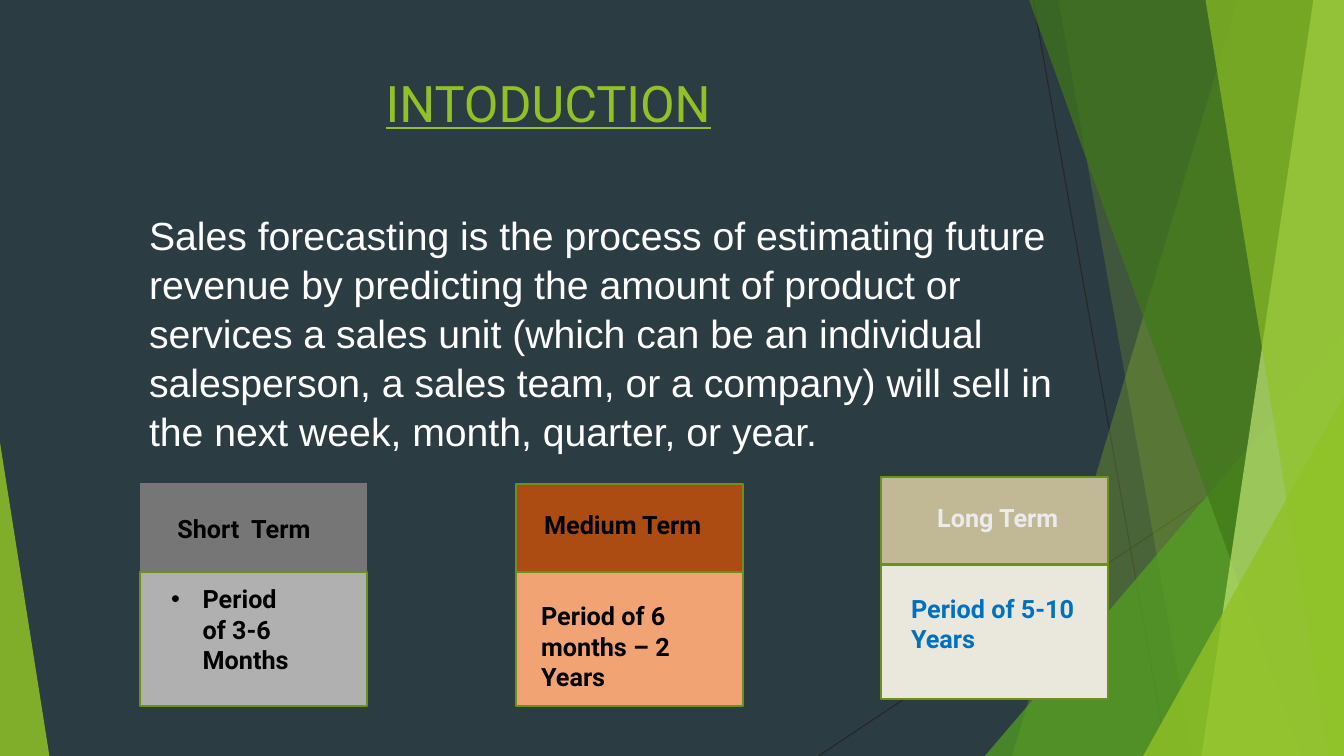
from pptx import Presentation
from pptx.dml.color import RGBColor
from pptx.enum.shapes import MSO_CONNECTOR, MSO_SHAPE
from pptx.enum.text import MSO_ANCHOR, PP_ALIGN
from pptx.oxml.ns import qn
from pptx.util import Pt
from lxml.etree import SubElement

PAGE_WIDTH, PAGE_HEIGHT = 960, 540

SLATE = RGBColor(0x2C, 0x3C, 0x43)
INK = RGBColor(0x26, 0x26, 0x26)
LIME = RGBColor(0x90, 0xC2, 0x26)
GREEN = RGBColor(0x54, 0xA0, 0x21)
FOREST = RGBColor(0x3F, 0x78, 0x19)
PALE_LIME = RGBColor(0xC0, 0xE4, 0x74)
OLIVE = RGBColor(0x6B, 0x90, 0x1C)
WHITE = RGBColor(0xFF, 0xFF, 0xFF)
BLACK = RGBColor(0, 0, 0)
BLUE = RGBColor(0x00, 0x70, 0xC0)
MIST = RGBColor(0xEB, 0xEB, 0xEB)
DARK_GREY = RGBColor(0x76, 0x76, 0x76)
LIGHT_GREY = RGBColor(0xB0, 0xB0, 0xB0)
RUST = RGBColor(0xAD, 0x4C, 0x12)
PEACH = RGBColor(0xF1, 0xA3, 0x74)
SAND = RGBColor(0xC1, 0xB9, 0x95)
CREAM = RGBColor(0xEA, 0xE8, 0xDC)


def paint(shape, color, opacity=100, outline=None):
    shape.shadow.inherit = False
    shape.fill.solid()
    shape.fill.fore_color.rgb = color
    if opacity < 100:
        tint = shape.fill._xPr.find(qn("a:solidFill"))[0]
        SubElement(tint, qn("a:alpha")).set("val", str(opacity * 1000))
    if outline is None:
        shape.line.fill.background()
    else:
        shape.line.color.rgb = outline
        shape.line.width = Pt(1.5)


def add_line(page, start, end):
    line = page.shapes.add_connector(
        MSO_CONNECTOR.STRAIGHT, *(Pt(value) for value in start + end))
    line.line.color.rgb = INK
    line.line.width = Pt(0.75)
    SubElement(line._element.spPr, qn("a:effectLst"))


def add_band(page, top_left, bottom_left, color, opacity):
    """Band from a slanted left edge to the right edge of the page."""
    builder = page.shapes.build_freeform(Pt(top_left), Pt(0))
    builder.add_line_segments([
        (Pt(PAGE_WIDTH), Pt(0)),
        (Pt(PAGE_WIDTH), Pt(PAGE_HEIGHT)),
        (Pt(bottom_left), Pt(PAGE_HEIGHT)),
    ])
    paint(builder.convert_to_shape(), color, opacity)


def add_wedge(page, left, width, height, apex, color, opacity):
    """Triangle standing on the bottom of the page."""
    wedge = page.shapes.add_shape(
        MSO_SHAPE.ISOSCELES_TRIANGLE,
        Pt(left), Pt(PAGE_HEIGHT - height), Pt(width), Pt(height))
    wedge.adjustments[0] = apex
    paint(wedge, color, opacity)


def add_text(page, box, text, size, font, color,
             bold=False, underline=False, align=PP_ALIGN.LEFT):
    left, top, width, height = (Pt(value) for value in box)
    frame = page.shapes.add_textbox(left, top, width, height).text_frame
    frame.word_wrap = True
    frame.vertical_anchor = MSO_ANCHOR.TOP
    para = frame.paragraphs[0]
    para.alignment = align
    span = para.add_run()
    span.text = text
    span.font.size = Pt(size)
    span.font.name = font
    span.font.color.rgb = color
    span.font.bold = bold
    span.font.underline = underline
    return para


def add_bullet(para, indent):
    properties = para._p.get_or_add_pPr()
    properties.set("marL", str(Pt(indent)))
    properties.set("indent", str(-Pt(indent)))
    SubElement(properties, qn("a:buFont")).set("typeface", "Arial")
    SubElement(properties, qn("a:buChar")).set("char", "•")


def add_decoration(page):
    add_line(page, (738, 0), (833.76, PAGE_HEIGHT))
    add_line(page, (PAGE_WIDTH, 290.16), (584.64, PAGE_HEIGHT))
    add_band(page, 884.16, 722.88, LIME, 30)
    add_band(page, 756, 851.76, LIME, 20)
    add_wedge(page, 703.44, 256.56, 300.24, 1, GREEN, 72)
    add_band(page, 735.12, 929.52, FOREST, 70)
    add_band(page, 938.16, 858.24, PALE_LIME, 70)
    add_band(page, 861.12, 948.96, LIME, 65)
    add_wedge(page, 816.48, 143.52, 257.04, 1, LIME, 80)
    add_wedge(page, 0, 35.28, 223.92, 0, LIME, 85)


def add_card(page, left, top, fills, header_outline, label, period, bullet=False):
    """Header over body; label and period give offset, width, text and color."""
    header_height, body_top, width, body_height = 62.64, 63.2, 162, 95.76
    parts = [
        (0, header_height, fills[0], header_outline),
        (body_top, body_height, fills[1], OLIVE),
    ]
    for offset, height, color, outline in parts:
        panel = page.shapes.add_shape(
            MSO_SHAPE.RECTANGLE, Pt(left), Pt(top + offset), Pt(width), Pt(height))
        paint(panel, color, outline=outline)

    for (x, y, text_width, height, text, color) in (label, period):
        para = add_text(page, (left + x, top + y, text_width, height),
                        text, 18, "Roboto", color, bold=True)
    if bullet:
        add_bullet(para, 22.5)


def build_introduction(deck):
    page = deck.slides.add_slide(deck.slide_layouts[6])
    page.background.fill.solid()
    page.background.fill.fore_color.rgb = SLATE
    add_decoration(page)

    # Title and definition
    add_text(page, (53.28, 48.24, 676.8, 103.68), "INTODUCTION", 36, "Roboto",
             LIME, underline=True, align=PP_ALIGN.CENTER)
    definition = add_text(
        page, (99.36, 146.16, 702, 194.4),
        "Sales forecasting\u00a0is the process of estimating future revenue by "
        "predicting the amount of product or services a sales unit (which can be "
        "an individual salesperson, a sales team, or a company) will sell in the "
        "next week, month, quarter, or year.", 28, "Arial", WHITE)
    definition.line_spacing = 1.04

    # Forecast horizons
    add_card(page, 100.08, 345.2, (DARK_GREY, LIGHT_GREY), None,
             (19.5, 17.7, 122, 29, "Short  Term", BLACK),
             (15.12, 68.1, 103.68, 72.7, "Period of 3-6 Months", BLACK), bullet=True)
    add_card(page, 368.64, 345.7, (RUST, PEACH), OLIVE,
             (12.96, 14.4, 136.8, 29, "Medium Term", BLACK),
             (10.8, 79.9, 118.8, 72.7, "Period of 6 months – 2 Years", BLACK))
    add_card(page, 629.28, 340.5, (SAND, CREAM), OLIVE,
             (33.12, 14.4, 110.88, 29, "Long Term", MIST),
             (14.4, 79.9, 137.52, 51, "Period of 5-10 Years", BLUE))


def main():
    deck = Presentation()
    deck.slide_width, deck.slide_height = Pt(PAGE_WIDTH), Pt(PAGE_HEIGHT)
    build_introduction(deck)
    deck.save("out.pptx")


if __name__ == "__main__":
    main()
